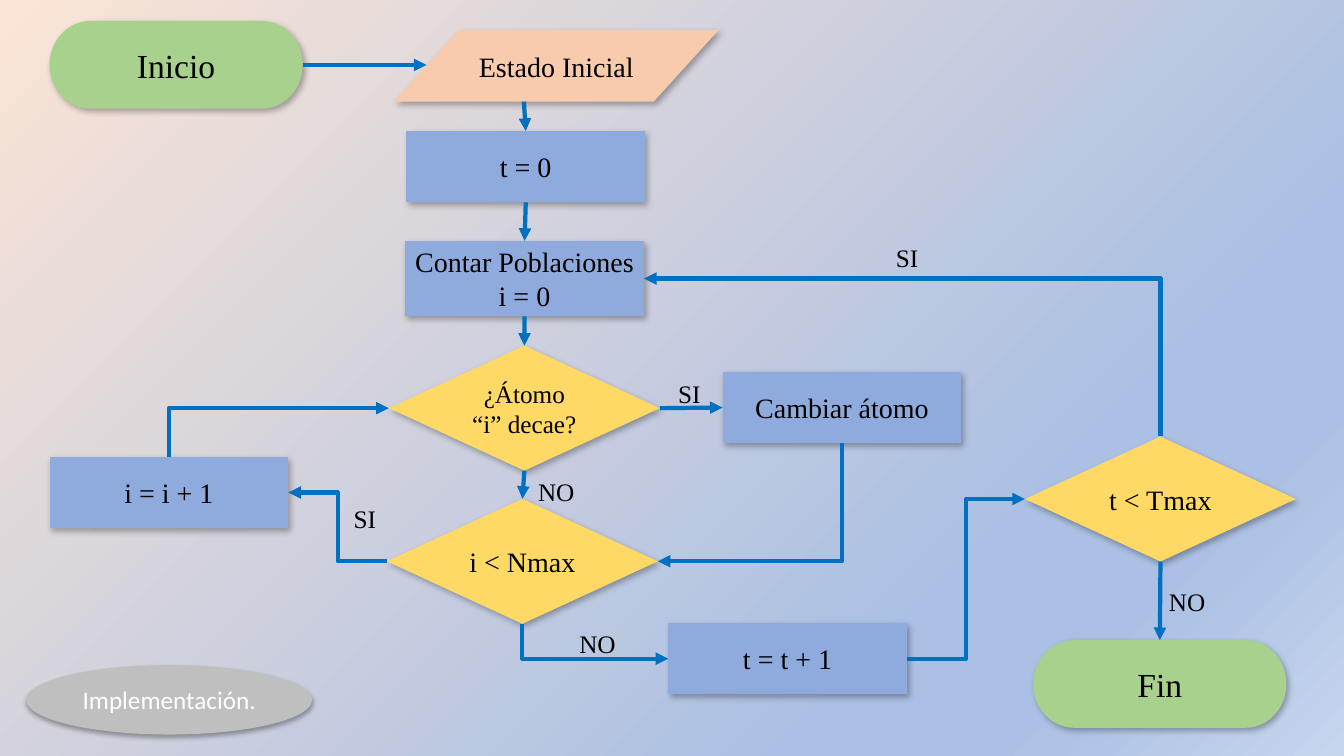
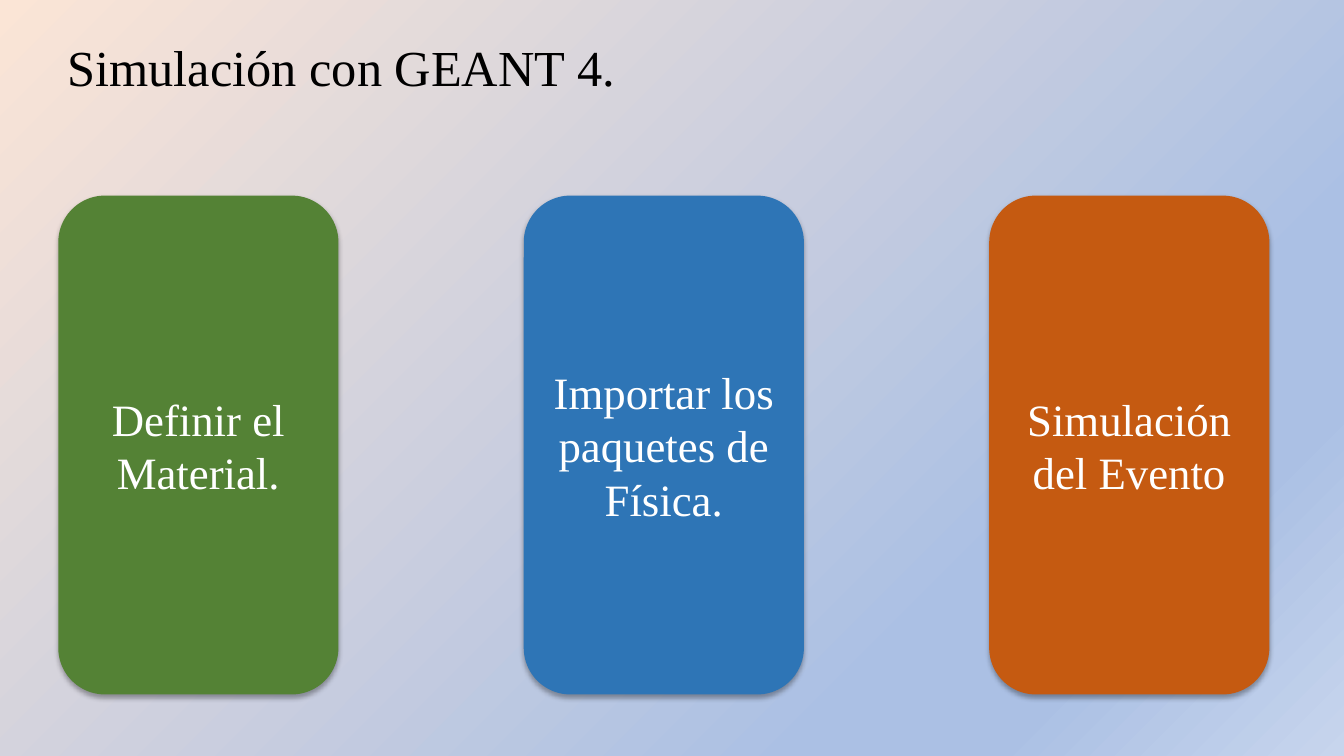
from lxml.etree import SubElement as Sub
from pptx import Presentation
from pptx.dml.color import RGBColor as Rgb
from pptx.enum.shapes import MSO_CONNECTOR as Link, MSO_SHAPE as Kind
from pptx.enum.text import MSO_ANCHOR as Anchor, PP_ALIGN as Align
from pptx.oxml.ns import qn
from pptx.util import Cm, Pt

# Shared look
HUE = {"black": "000000", "white": "FFFFFF", "green": "A9D18E", "peach": "F8CBAD",
       "blue": "8FAADC", "gold": "FFD966", "grey": "BFBFBF", "line": "0070C0",
       "moss": "548235", "sea": "2E75B6", "rust": "C55A11"}
BACK = [(0, "FBE5D6"), (74, "ABC0E4"), (83, "ABC0E4"), (100, "C7D5ED")]
SERIF, SANS = "Times New Roman", "Calibri"
# Shadows: opacity %, blur pt, distance pt, angle
DEEP, SOFT = (30, 4.5, 2.6, 53), (32, 3.5, 2.2, 90)

# Flow chart: type -> shape, fill, width, height, text size, side inset
TYPES = {
    "end": (Kind.FLOWCHART_TERMINATOR, "green", 6.38, 2.21, 24, 0.25),
    "data": (Kind.FLOWCHART_DATA, "peach", 8.18, 1.8, 20, 0.25),
    "step": (Kind.FLOWCHART_PROCESS, "blue", 6.02, 1.8, 20, 0.1),
    "count": (Kind.FLOWCHART_PROCESS, "blue", 6.02, 1.9, 20, 0.1),
    "ask": (Kind.FLOWCHART_DECISION, "gold", 6.83, 3.15, 20, 0.25),
    "decay": (Kind.FLOWCHART_DECISION, "gold", 6.83, 3.15, 18, 0.25),
}
NODES = {
    "start": ("end", 1.25, 0.53, "Inicio"),
    "state": ("data", 9.93, 0.76, "Estado Inicial"),
    "zero": ("step", 10.24, 3.3, "t = 0"),
    "count": ("count", 10.21, 6.07, "Contar Poblaciones\ni = 0"),
    "decay": ("decay", 9.8, 8.71, "¿Átomo “i” decae?"),
    "swap": ("step", 18.21, 9.37, "Cambiar átomo"),
    "next": ("step", 1.25, 11.51, "i = i + 1"),
    "atoms": ("ask", 9.75, 12.57, "i < Nmax"),
    "tick": ("step", 16.84, 15.7, "t = t + 1"),
    "time": ("ask", 25.83, 11, "t < Tmax"),
    "stop": ("end", 26.04, 16.13, "Fin"),
}
TOP, LEFT, BASE, RIGHT = range(4)
LINKS = [  # from, side, to, side
    ("zero", BASE, "count", TOP), ("count", BASE, "decay", TOP),
    ("decay", RIGHT, "swap", LEFT), ("decay", BASE, "atoms", TOP),
    ("time", BASE, "stop", TOP), ("next", TOP, "decay", LEFT),
    ("swap", BASE, "atoms", RIGHT), ("atoms", BASE, "tick", LEFT),
    ("time", TOP, "count", RIGHT), ("atoms", LEFT, "next", RIGHT),
    ("tick", RIGHT, "time", LEFT),
]
LABELS = [("SI", 16.84, 9.42), ("NO", 13.31, 11.89), ("SI", 8.66, 12.57),
          ("NO", 14.35, 15.7), ("SI", 22.33, 5.97), ("NO", 29.21, 14.66)]

# Second slide
TITLE = "Simulación con GEANT 4."
CARDS = [("Definir el Material.", "moss"), ("Importar los paquetes de Física.", "sea"),
         ("Simulación del Evento", "rust")]


def style(frame, text, size, hue="black", font=SERIF, align=Align.CENTER):
    frame.text = text
    for para in frame.paragraphs:
        para.alignment = align
        for run in para.runs:
            run.font.size, run.font.name = Pt(size), font
            run.font.color.rgb = Rgb.from_string(HUE[hue])


def shade(shape, alpha, blur, dist, turn):
    shape.shadow.inherit = False
    fx = shape._element.spPr.find(qn("a:effectLst"))
    outer = Sub(fx, qn("a:outerShdw"), blurRad=str(Pt(blur)), dist=str(Pt(dist)),
                dir=str(turn * 60000), algn="t", rotWithShape="0")
    tone = Sub(outer, qn("a:srgbClr"), val=HUE["black"])
    Sub(tone, qn("a:alpha"), val=str(alpha * 1000))


def block(slide, kind, box, fill, shadow):
    shape = slide.shapes.add_shape(kind, *map(Cm, box))
    shape.fill.solid()
    shape.fill.fore_color.rgb = Rgb.from_string(HUE[fill])
    shape.line.fill.background()
    shade(shape, *shadow)
    shape.text_frame.word_wrap = True
    shape.text_frame.vertical_anchor = Anchor.MIDDLE
    return shape


def spot(shape, side):
    x, y, w, h = shape.left, shape.top, shape.width, shape.height
    return [(x + w // 2, y), (x, y + h // 2), (x + w // 2, y + h), (x + w, y + h // 2)][side]


def arrow(slide, kind, start, end, tip="tailEnd"):
    wire = slide.shapes.add_connector(kind, *start, *end)
    wire.line.width = Pt(3)
    wire.line.color.rgb = Rgb.from_string(HUE["line"])
    Sub(wire.line._get_or_add_ln(), qn("a:" + tip), type="triangle")
    Sub(wire._element.spPr, qn("a:effectLst"))
    return wire


def join(slide, src, out, dst, into):
    upright = out in (TOP, BASE)
    corner = upright and into in (LEFT, RIGHT)
    bent = corner or {out, into} == {LEFT, RIGHT} and spot(src, out)[1] // Cm(0.5) != spot(dst, into)[1] // Cm(0.5)
    ends = [(src, out), (dst, into)]
    if corner:  # a corner runs level first, so it is drawn from its target
        ends.reverse()
    wire = arrow(slide, Link.ELBOW if bent else Link.STRAIGHT,
                 *(spot(*end) for end in ends), "headEnd" if corner else "tailEnd")
    if corner:
        wire._element.spPr.find(qn("a:prstGeom")).set("prst", "bentConnector2")
    wire.begin_connect(*ends[0])
    wire.end_connect(*ends[1])


def paint(master):
    fill = master.background.fill
    fill.gradient()
    fill.gradient_angle = 315
    stops = master._element.xpath(".//p:bg//a:gsLst")[0]
    for old in list(stops):
        stops.remove(old)
    for pos, tone in BACK:
        Sub(Sub(stops, qn("a:gs"), pos=str(pos * 1000)), qn("a:srgbClr"), val=tone)


def flow(slide):
    made = {}
    for name, (kind, x, y, text) in NODES.items():
        form, fill, w, h, size, pad = TYPES[kind]
        made[name] = node = block(slide, form, (x, y, w, h), fill, DEEP)
        node.text_frame.margin_left = node.text_frame.margin_right = Cm(pad)
        style(node.text_frame, text, size)

    # The slanted box is met at a tenth of its width and left at two fifths
    data, first = made["state"], made["start"]
    mid = spot(first, RIGHT)
    arrow(slide, Link.STRAIGHT, mid, (data.left + data.width // 10, mid[1])).begin_connect(first, RIGHT)
    foot = (data.left + data.width * 2 // 5, data.top + data.height)
    arrow(slide, Link.STRAIGHT, foot, spot(made["zero"], TOP)).end_connect(made["zero"], TOP)
    for src, out, dst, into in LINKS:
        join(slide, made[src], out, made[dst], into)

    for text, x, y in LABELS:
        note = slide.shapes.add_textbox(Cm(x), Cm(y), Cm(1.45 if text == "NO" else 1.09), Cm(1.02))
        style(note.text_frame, text, 18, align=Align.LEFT)
    badge = block(slide, Kind.OVAL, (0.66, 16.76, 7.21, 1.75), "grey", SOFT)
    style(badge.text_frame, "Implementación.", 18, "white", SANS)


def cards(slide):
    title = slide.shapes.title
    title.left, title.top, title.width, title.height = map(Cm, (1.45, 0.76, 15, 1.8))
    title.text_frame.vertical_anchor = Anchor.MIDDLE
    style(title.text_frame, TITLE, 36, align=Align.LEFT)
    for i, (text, fill) in enumerate(CARDS):
        card = block(slide, Kind.ROUNDED_RECTANGLE, (1.47 + i * 11.73, 4.93, 7.06, 12.57), fill, SOFT)
        style(card.text_frame, text, 32, "white")


def main():
    prs = Presentation()
    prs.slide_width, prs.slide_height = Cm(33.87), Cm(19.05)
    paint(prs.slide_master)
    for layout, draw in ((6, flow), (5, cards)):
        draw(prs.slides.add_slide(prs.slide_layouts[layout]))
    prs.save("out.pptx")


if __name__ == "__main__":
    main()
